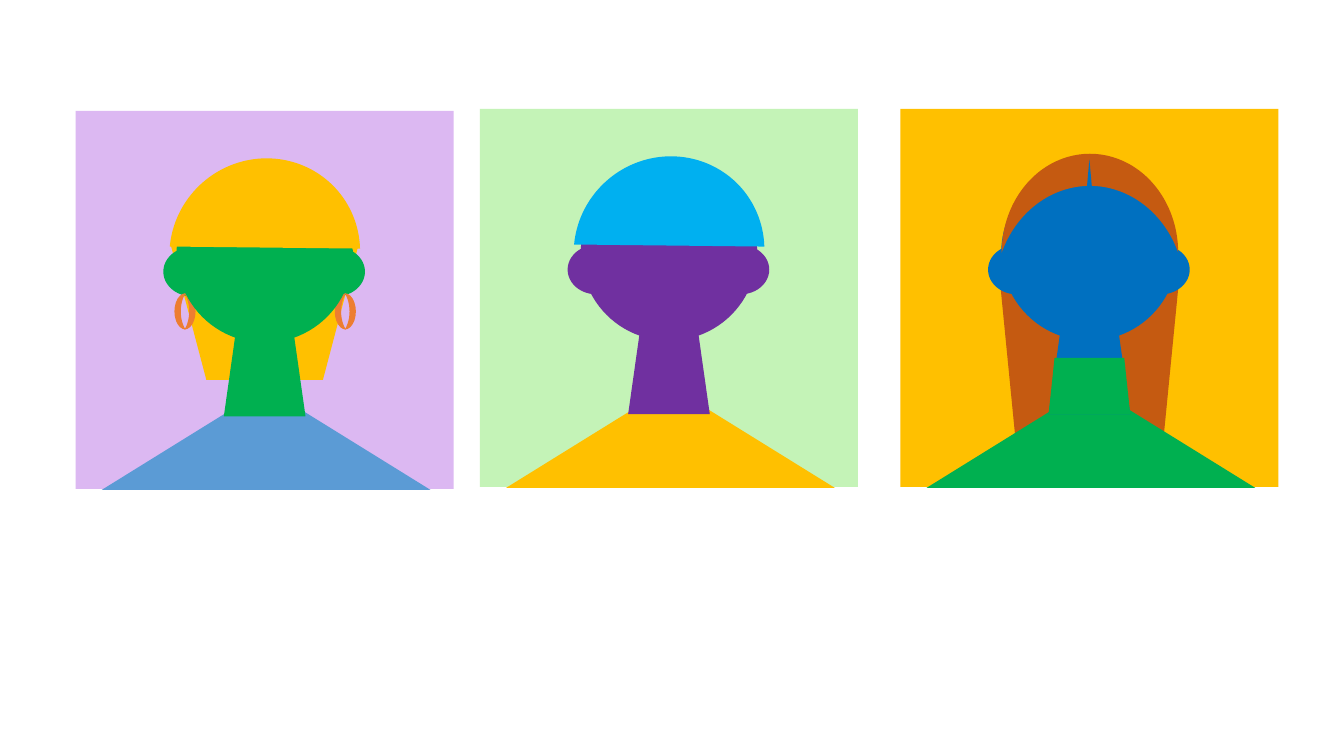
from pptx import Presentation
from pptx.dml.color import RGBColor
from pptx.enum.shapes import MSO_SHAPE
from pptx.util import Inches

RECTANGLE = MSO_SHAPE.RECTANGLE
TRIANGLE = MSO_SHAPE.ISOSCELES_TRIANGLE
PENTAGON = MSO_SHAPE.REGULAR_PENTAGON
OVAL = MSO_SHAPE.OVAL
TRAPEZOID = MSO_SHAPE.TRAPEZOID
MOON = MSO_SHAPE.MOON
CHORD = MSO_SHAPE.CHORD

LILAC = RGBColor(0xDC, 0xB8, 0xF2)
MINT = RGBColor(0xC4, 0xF3, 0xB7)
AMBER = RGBColor(0xFF, 0xC0, 0x00)
STEEL = RGBColor(0x5B, 0x9B, 0xD5)
GREEN = RGBColor(0x00, 0xB0, 0x50)
ORANGE = RGBColor(0xED, 0x7D, 0x31)
PURPLE = RGBColor(0x70, 0x30, 0xA0)
SKY = RGBColor(0x00, 0xB0, 0xF0)
BLUE = RGBColor(0x00, 0x70, 0xC0)
BROWN = RGBColor(0xC5, 0x5A, 0x11)


class Portrait:
    """One grouped portrait whose features are placed from the corner of its backdrop."""

    def __init__(self, slide, left, top, backdrop):
        self.left, self.top = left, top
        self.figure = slide.shapes.add_group_shape()
        self.feature(RECTANGLE, 0, 0, 3.75, 3.75, backdrop)

    def feature(self, kind, x, y, width, height, color, rotation=0, adjust=(), flip=False):
        shape = self.figure.shapes.add_shape(kind, Inches(self.left + x), Inches(self.top + y),
                                             Inches(width), Inches(height))
        shape.shadow.inherit = False
        shape.fill.solid()
        shape.fill.fore_color.rgb = color
        shape.line.fill.background()
        shape.rotation = rotation
        for index, value in enumerate(adjust):
            shape.adjustments[index] = value
        if flip:
            shape._element.spPr.get_or_add_xfrm().set("flipH", "1")

    def shoulders(self, color):
        self.feature(TRIANGLE, 0.26, 2.75, 3.26, 1.01, color)

    def ears_and_neck(self, skin):
        for x in (0.87, 2.3):
            self.feature(OVAL, x, 1.35, 0.57, 0.49, skin)
        self.feature(TRAPEZOID, 1.47, 1.6, 0.81, 1.43, skin)

    def head(self, skin):
        self.feature(OVAL, 1, 0.55, 1.75, 1.75, skin)

    def earrings(self, color):
        for x in (0.98, 2.57):
            self.feature(MOON, x, 1.81, 0.11, 0.36, color, adjust=[0.575])
            self.feature(MOON, x + 0.1, 1.81, 0.11, 0.36, color, adjust=[0.575], flip=True)

    def cap(self, color):
        self.feature(CHORD, 0.92, 0.48, 1.91, 1.87, color, 137.7, [27.9, 131.607])

    def bob(self, color):
        self.feature(PENTAGON, 0.94, 0.48, 1.87, 2.19, color)

    def long_hair(self, color):
        self.feature(TRAPEZOID, 0.96, 1.43, 1.83, 2.2, color, 180, [0.118])

    def fringe(self, color, parting):
        self.feature(MOON, 1.39, 0.06, 0.98, 1.75, color, 90, [0.325])
        self.feature(TRIANGLE, 1.85, 0.5, 0.05, 0.28, parting)

    def collar(self, color):
        self.feature(TRAPEZOID, 1.47, 2.47, 0.81, 0.56, color, adjust=[0.106])


def main():
    deck = Presentation()
    deck.slide_width, deck.slide_height = Inches(13.33), Inches(7.5)
    slide = deck.slides.add_slide(deck.slide_layouts[6])

    bob_wearer = Portrait(slide, 0.75, 1.1, LILAC)
    bob_wearer.shoulders(STEEL)
    bob_wearer.bob(AMBER)
    bob_wearer.ears_and_neck(GREEN)
    bob_wearer.earrings(ORANGE)
    bob_wearer.head(GREEN)
    bob_wearer.cap(AMBER)

    cap_wearer = Portrait(slide, 4.76, 1.08, MINT)
    cap_wearer.shoulders(AMBER)
    cap_wearer.ears_and_neck(PURPLE)
    cap_wearer.head(PURPLE)
    cap_wearer.cap(SKY)

    long_haired = Portrait(slide, 8.93, 1.08, AMBER)
    long_haired.long_hair(BROWN)
    long_haired.head(BLUE)
    long_haired.shoulders(GREEN)
    long_haired.ears_and_neck(BLUE)
    long_haired.fringe(BROWN, BLUE)
    long_haired.collar(GREEN)

    deck.save("out.pptx")


if __name__ == "__main__":
    main()
